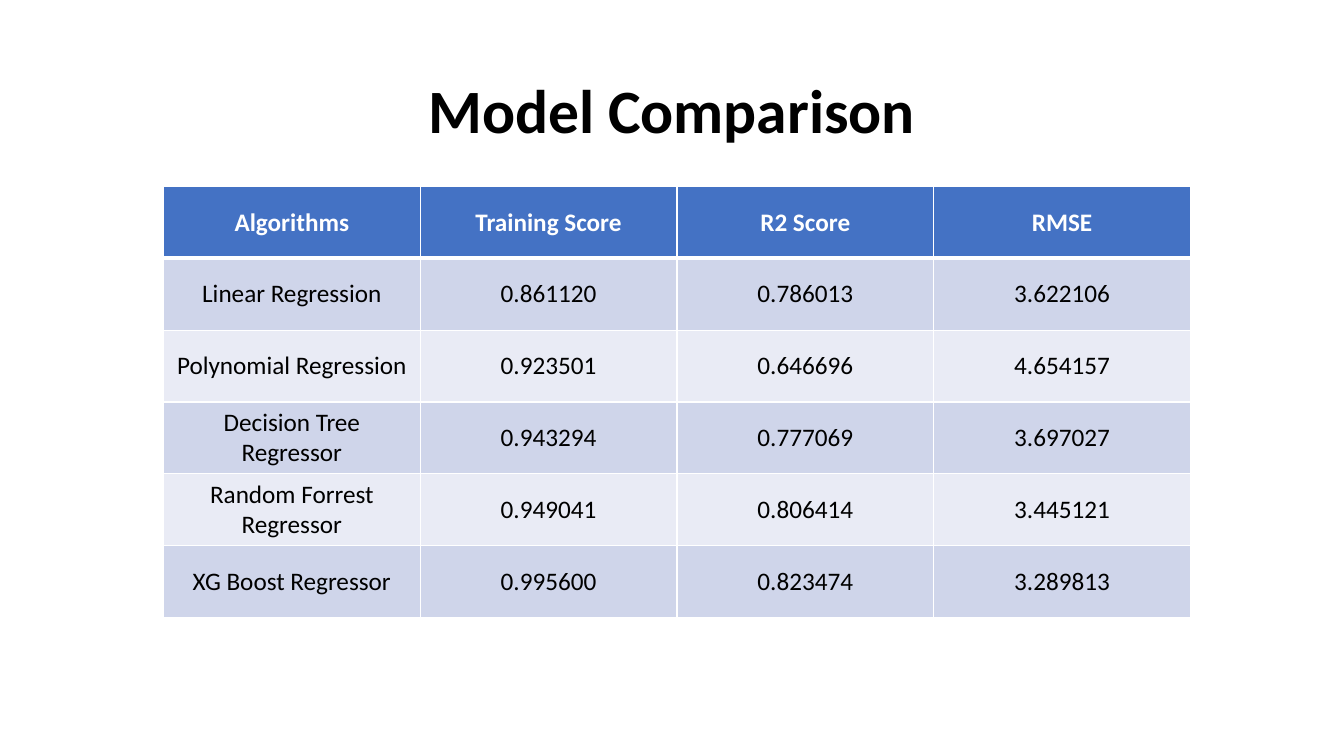
"""Build the model comparison slide with its table of regression scores."""
from dataclasses import astuple, dataclass

from lxml.etree import SubElement
from pptx import Presentation
from pptx.dml.color import RGBColor
from pptx.enum.text import MSO_ANCHOR as Anchor, PP_ALIGN as Align
from pptx.oxml.ns import qn
from pptx.slide import Slide
from pptx.table import _Cell as Cell
from pptx.text.text import _Paragraph as Paragraph
from pptx.util import Cm, Pt

FONT = "Calibri"
BLACK = RGBColor(0x00, 0x00, 0x00)
WHITE = RGBColor(0xFF, 0xFF, 0xFF)
HEADER_BLUE = RGBColor(0x44, 0x72, 0xC4)
BAND_DARK = RGBColor(0xCF, 0xD5, 0xEA)
BAND_LIGHT = RGBColor(0xE9, 0xEB, 0xF5)

COLUMN_WIDTH = Cm(6.47)
ROW_HEIGHT = Cm(1.81)
THIN, THICK = Pt(1), Pt(3)


@dataclass(frozen=True)
class ModelScore:
    algorithm: str
    training_score: str
    r2_score: str
    rmse: str


HEADER = ModelScore("Algorithms", "Training Score", "R2 Score", "RMSE")
SCORES = [
    ModelScore("Linear Regression", "0.861120", "0.786013", "3.622106"),
    ModelScore("Polynomial Regression", "0.923501", "0.646696", "4.654157"),
    ModelScore("Decision Tree Regressor", "0.943294", "0.777069", "3.697027"),
    ModelScore("Random Forrest Regressor", "0.949041", "0.806414", "3.445121"),
    ModelScore("XG Boost Regressor", "0.995600", "0.823474", "3.289813"),
]


def write(paragraph: Paragraph, text: str, size: int, color: RGBColor, bold: bool) -> None:
    paragraph.alignment = Align.CENTER
    run = paragraph.add_run()
    run.text = text
    run.font.name = FONT
    run.font.size = Pt(size)
    run.font.bold = bold
    run.font.color.rgb = color


def add_title(slide: Slide, text: str) -> None:
    title = slide.shapes.add_textbox(Cm(2.33), Cm(1.01), Cm(29.21), Cm(3.68))
    frame = title.text_frame
    frame.word_wrap = True
    frame.vertical_anchor = Anchor.MIDDLE
    paragraph = frame.paragraphs[0]
    paragraph.line_spacing = 0.9
    write(paragraph, text, 44, BLACK, True)


def draw_borders(cell: Cell, top: int, bottom: int) -> None:
    properties = cell._tc.get_or_add_tcPr()
    for side, width in {"lnL": THIN, "lnR": THIN, "lnT": top, "lnB": bottom}.items():
        line = SubElement(properties, qn(f"a:{side}"), w=str(width))
        fill = SubElement(line, qn("a:solidFill"))
        SubElement(fill, qn("a:srgbClr"), val=str(WHITE))


def add_score_table(slide: Slide, records: list[ModelScore]) -> None:
    rows = [astuple(record) for record in records]
    row_count, column_count = len(rows), len(rows[0])
    table = slide.shapes.add_table(
        row_count, column_count, Cm(4.12), Cm(4.7),
        COLUMN_WIDTH * column_count, ROW_HEIGHT * row_count,
    ).table
    for column in table.columns:
        column.width = COLUMN_WIDTH
    for index, values in enumerate(rows):
        table.rows[index].height = ROW_HEIGHT
        is_header = index == 0
        band = BAND_DARK if index % 2 else BAND_LIGHT
        for position, value in enumerate(values):
            cell = table.cell(index, position)
            cell.vertical_anchor = Anchor.MIDDLE
            draw_borders(cell, THICK if index == 1 else THIN, THICK if is_header else THIN)
            cell.fill.solid()
            cell.fill.fore_color.rgb = HEADER_BLUE if is_header else band
            write(cell.text_frame.paragraphs[0], value, 18,
                  WHITE if is_header else BLACK, is_header)


def main() -> None:
    presentation = Presentation()
    presentation.slide_width = Cm(33.87)
    presentation.slide_height = Cm(19.05)
    slide = presentation.slides.add_slide(presentation.slide_layouts[6])
    add_title(slide, "Model Comparison")
    add_score_table(slide, [HEADER, *SCORES])
    presentation.save("out.pptx")


if __name__ == "__main__":
    main()
